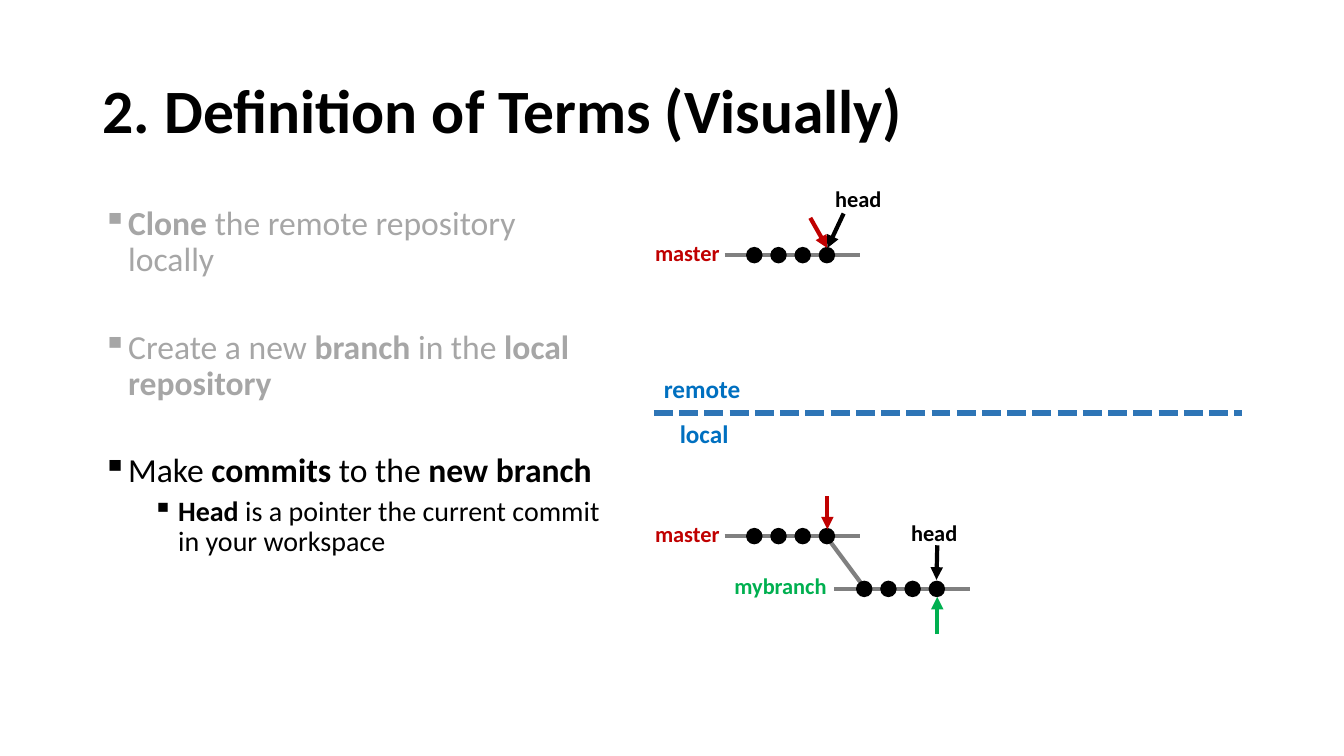
from dataclasses import dataclass

from lxml.etree import SubElement
from pptx import Presentation
from pptx.dml.color import RGBColor
from pptx.enum.dml import MSO_LINE
from pptx.enum.shapes import MSO_CONNECTOR, MSO_SHAPE
from pptx.enum.text import MSO_ANCHOR, PP_ALIGN
from pptx.oxml.ns import qn
from pptx.util import Cm, Pt


@dataclass(frozen=True)
class Theme:
    font: str = "Calibri"
    black: str = "000000"
    faded: str = "A6A6A6"
    track: str = "808080"
    red: str = "C00000"
    green: str = "00B050"
    blue: str = "0070C0"
    divider: str = "2E75B6"
    title_size: int = 44
    body_size: int = 24
    detail_size: int = 20
    zone_size: int = 18
    label_size: int = 16


THEME = Theme()
COMMIT_COUNT = 4
COMMIT_SIZE = 0.38
COMMIT_PITCH = 0.61
FIRST_COMMIT = 0.75
TRACK_LENGTH = 3.41

# Runs (text, bold), colour, size, left margin in cm, space before in points
BULLETS = [
    ([("Clone", True), (" the remote repository locally", False)],
     THEME.faded, THEME.body_size, 0.64, 0),
    ([("Create a new ", False), ("branch", True), (" in the ", False),
      ("local repository", True)],
     THEME.faded, THEME.body_size, 0.64, 36.5),
    ([("Make ", False), ("commits", True), (" to the ", False),
      ("new branch", True)],
     THEME.black, THEME.body_size, 0.64, 36.5),
    ([("Head", True),
      (" is a pointer the current commit in your workspace", False)],
     THEME.black, THEME.detail_size, 1.9, 5),
]


def format_run(run, size, color, bold=True):
    run.font.name = THEME.font
    run.font.size = Pt(size)
    run.font.bold = bold
    run.font.color.rgb = RGBColor.from_string(color)


def add_text_box(slide, left, top, width, height):
    box = slide.shapes.add_textbox(Cm(left), Cm(top), Cm(width), Cm(height))
    box.text_frame.word_wrap = True
    return box.text_frame


def add_label(slide, text, left, top, width, color, size=THEME.label_size,
              height=0.94, align=PP_ALIGN.LEFT):
    text_frame = add_text_box(slide, left, top, width, height)
    text_frame.text = text
    paragraph = text_frame.paragraphs[0]
    paragraph.alignment = align
    format_run(paragraph.runs[0], size, color)
    return text_frame


def add_title(slide, text):
    text_frame = add_label(slide, text, 2.34, 1.02, 29.21, THEME.black,
                           THEME.title_size, 3.68)
    text_frame.vertical_anchor = MSO_ANCHOR.MIDDLE
    text_frame.paragraphs[0].line_spacing = 0.9


def add_bullet_list(slide, bullets):
    text_frame = add_text_box(slide, 2.34, 5.08, 13.18, 12.09)
    for index, (runs, color, size, margin, space_before) in enumerate(bullets):
        paragraph = text_frame.add_paragraph() if index else text_frame.paragraphs[0]
        paragraph.line_spacing = 0.9
        paragraph.space_before = Pt(space_before)
        properties = paragraph._p.get_or_add_pPr()
        properties.set("marL", str(Cm(margin)))
        properties.set("indent", str(Cm(-0.64)))
        SubElement(properties, qn("a:buChar")).set("char", "▪")
        for text, bold in runs:
            run = paragraph.add_run()
            run.text = text
            format_run(run, size, color, bold)


def add_line(slide, start, end, color, width=3):
    line = slide.shapes.add_connector(
        MSO_CONNECTOR.STRAIGHT, *(Cm(value) for value in (*start, *end)))
    line.line.color.rgb = RGBColor.from_string(color)
    line.line.width = Pt(width)
    SubElement(line._element.spPr, qn("a:effectLst"))
    return line


def add_arrow(slide, start, end, color):
    arrow = add_line(slide, start, end, color)
    SubElement(arrow.line._get_or_add_ln(), qn("a:tailEnd")).set("type", "triangle")


def add_commit(slide, center_x, center_y):
    radius = COMMIT_SIZE / 2
    commit = slide.shapes.add_shape(
        MSO_SHAPE.OVAL, Cm(center_x - radius), Cm(center_y - radius),
        Cm(COMMIT_SIZE), Cm(COMMIT_SIZE))
    commit.shadow.inherit = False
    commit.fill.solid()
    commit.fill.fore_color.rgb = RGBColor.from_string(THEME.black)
    commit.line.color.rgb = RGBColor.from_string(THEME.black)
    commit.line.width = Pt(1)


def add_branch(slide, name, color, left, y, label_left, label_width):
    """Draw a named track with its row of commits."""
    add_line(slide, (left, y), (left + TRACK_LENGTH, y), THEME.track)
    for index in range(COMMIT_COUNT):
        add_commit(slide, left + FIRST_COMMIT + index * COMMIT_PITCH, y)
    add_label(slide, name, label_left, y - 0.54, label_width, color)


def add_divider(slide):
    line = add_line(slide, (16.48, 10.41), (31.29, 10.41), THEME.divider, 4.5)
    line.line.dash_style = MSO_LINE.SQUARE_DOT
    add_label(slide, "remote", 16.48, 9.27, 2.69, THEME.blue, THEME.zone_size, 1.02)
    add_label(slide, "local", 16.48, 10.41, 2.13, THEME.blue, THEME.zone_size, 1.02,
              PP_ALIGN.RIGHT)


def add_remote_history(slide):
    add_branch(slide, "master", THEME.red, 18.26, 6.43, 16.26, 2.69)
    add_arrow(slide, (20.42, 5.49), (20.85, 6.25), THEME.red)
    add_arrow(slide, (21.26, 5.38), (20.85, 6.25), THEME.black)
    add_label(slide, "head", 20.8, 4.55, 2.69, THEME.black)


def add_local_history(slide):
    add_line(slide, (20.73, 13.39), (21.92, 14.99), THEME.track)
    add_branch(slide, "master", THEME.red, 18.26, 13.51, 16.26, 2.69)
    add_arrow(slide, (20.85, 12.5), (20.85, 13.34), THEME.red)
    add_branch(slide, "mybranch", THEME.green, 21.03, 14.84, 18.26, 3)
    add_arrow(slide, (23.62, 13.74), (23.6, 14.61), THEME.black)
    add_arrow(slide, (23.62, 15.98), (23.62, 15.04), THEME.green)
    add_label(slide, "head", 22.71, 12.95, 1.78, THEME.black)


def main():
    presentation = Presentation()
    presentation.slide_width = Cm(33.87)
    presentation.slide_height = Cm(19.05)
    slide = presentation.slides.add_slide(presentation.slide_layouts[6])
    add_title(slide, "2. Definition of Terms (Visually)")
    add_bullet_list(slide, BULLETS)
    add_divider(slide)
    add_remote_history(slide)
    add_local_history(slide)
    presentation.save("out.pptx")


if __name__ == "__main__":
    main()
